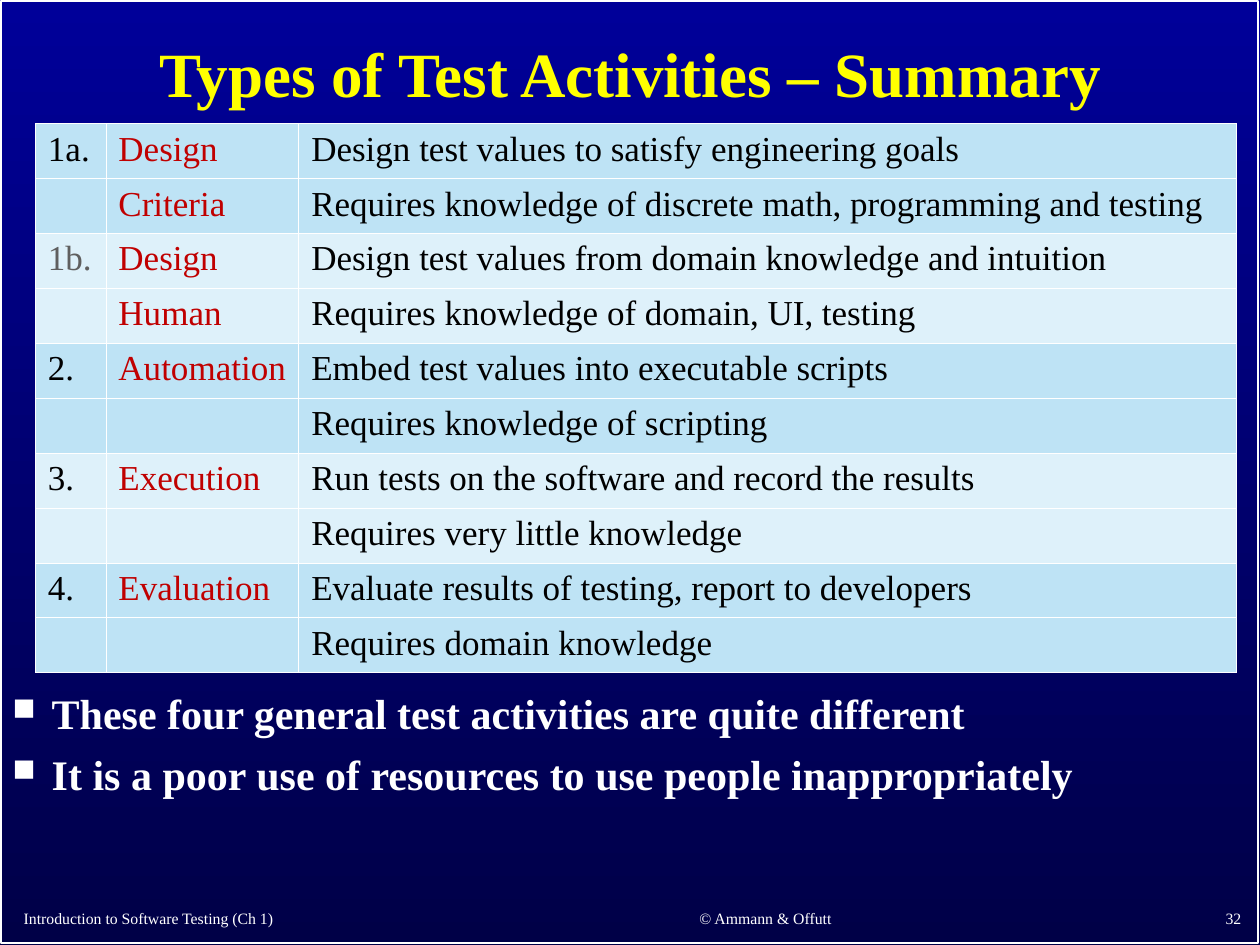
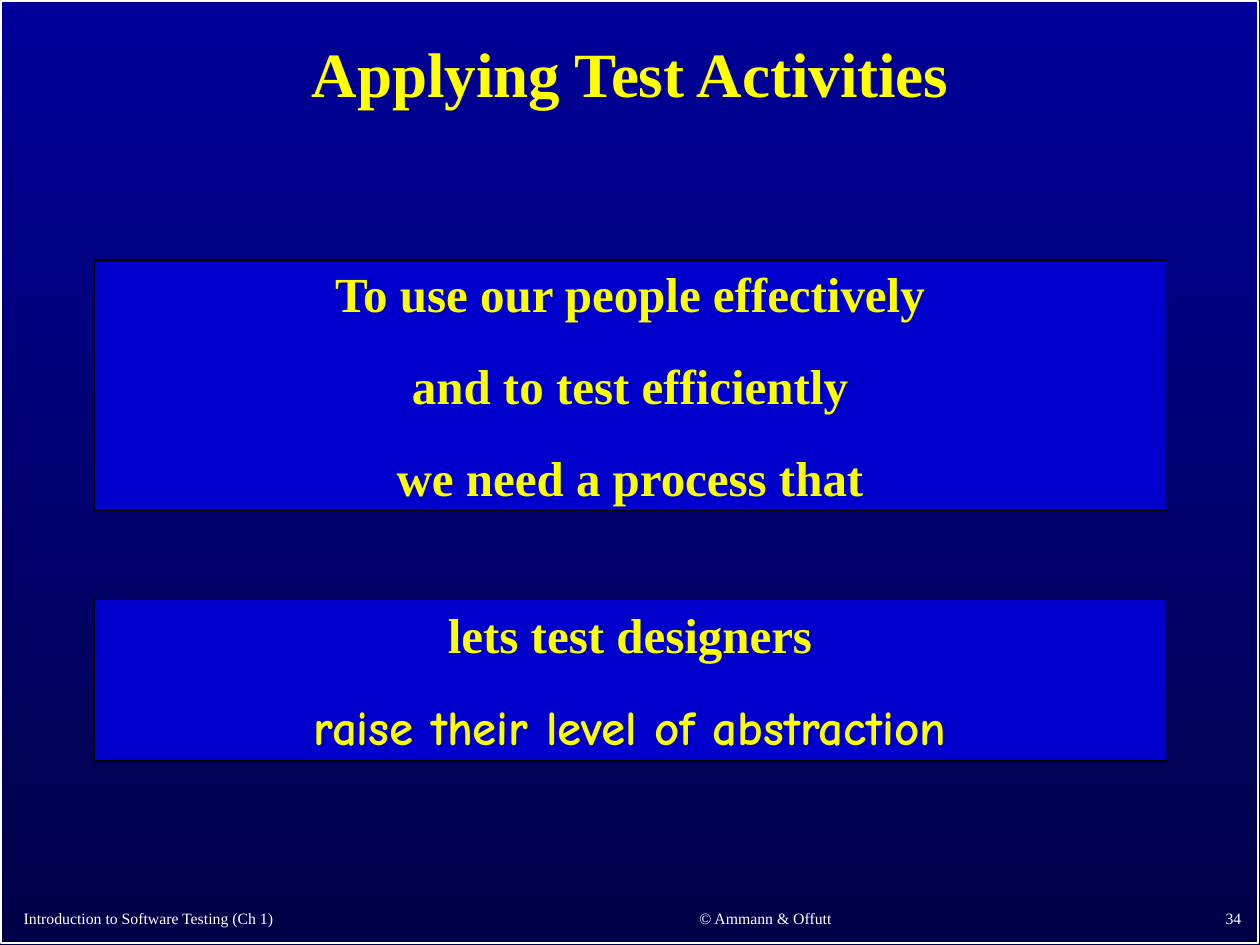
import pptx
import pptx.util
import pptx.dml.color
import pptx.enum.shapes
import pptx.enum.text
import pptx.oxml
import pptx.oxml.ns

Pt = pptx.util.Pt
RGBColor = pptx.dml.color.RGBColor
ALIGN = pptx.enum.text.PP_ALIGN
ANCHOR = pptx.enum.text.MSO_ANCHOR
RECTANGLE = pptx.enum.shapes.MSO_SHAPE.RECTANGLE

SERIF = "Times New Roman"
CASUAL = "Comic Neue"

SKY_TOP = RGBColor(0x00, 0x00, 0x99)
SKY_BOTTOM = RGBColor(0x00, 0x00, 0x47)
WHITE = RGBColor(0xFF, 0xFF, 0xFF)
BLACK = RGBColor(0x00, 0x00, 0x00)
GRAY = RGBColor(0x5F, 0x5F, 0x5F)
TITLE_YELLOW = RGBColor(0xFF, 0xFF, 0x00)
PANEL_YELLOW = RGBColor(0xFA, 0xFD, 0x00)
PANEL_BLUE = RGBColor(0x00, 0x00, 0xCC)
ACTIVITY_RED = RGBColor(0xC0, 0x00, 0x00)
BAND_DARK = RGBColor(0xBE, 0xE3, 0xF5)
BAND_LIGHT = RGBColor(0xDE, 0xF1, 0xFA)

# Boxes are (left, top, width, height) in points.
SLIDE_SIZE = (720, 540)
FRAME_BOX = (0.7, 0.7, 718, 538)
TITLE_BOX = (7.2, 8, 706, 72)
TABLE_BOX = (20.2, 70.6, 686.2, 314)
BULLETS_BOX = (0, 392.4, 720, 93.6)
NEED_BOX = (54, 148.6, 612, 143.2)
RESULT_BOX = (54, 342.6, 612, 92.2)
FOOTER_TOP, FOOTER_HEIGHT = 513, 20.5

COLUMN_WIDTHS = (40.3, 110.2, 535.7)
ACTIVITIES = [
    ("1a.", ("Design", "Criteria"),
     ("Design test values to satisfy engineering goals",
      "Requires knowledge of discrete math, programming and testing")),
    ("1b.", ("Design", "Human"),
     ("Design test values from domain knowledge and intuition",
      "Requires knowledge of domain, UI, testing")),
    ("2.", ("Automation", ""),
     ("Embed test values into executable scripts",
      "Requires knowledge of scripting")),
    ("3.", ("Execution", ""),
     ("Run tests on the software and record the results",
      "Requires very little knowledge")),
    ("4.", ("Evaluation", ""),
     ("Evaluate results of testing, report to developers",
      "Requires domain knowledge")),
]


def in_points(box):
    return [Pt(length) for length in box]


def add_run(paragraph, text, size, color, bold=False, font=SERIF):
    run = paragraph.add_run()
    run.text = text
    run.font.name = font
    run.font.size = Pt(size)
    run.font.bold = bold
    run.font.color.rgb = color


def next_paragraph(frame, index, gap):
    """Return the paragraph at index, with gap before all but the first."""
    if index == 0:
        return frame.paragraphs[0]
    paragraph = frame.add_paragraph()
    paragraph.space_before = Pt(gap)
    return paragraph


def add_text_frame(slide, box, anchor):
    frame = slide.shapes.add_textbox(*in_points(box)).text_frame
    frame.word_wrap = True
    frame.vertical_anchor = anchor
    return frame


def add_rectangle(slide, box, line_color):
    rectangle = slide.shapes.add_shape(RECTANGLE, *in_points(box))
    rectangle.shadow.inherit = False
    rectangle.line.color.rgb = line_color
    rectangle.line.width = Pt(1)
    return rectangle


def add_background(slide):
    fill = slide.background.fill
    fill.gradient()
    fill.gradient_angle = 270
    stops = zip(fill.gradient_stops, (0, 1), (SKY_TOP, SKY_BOTTOM))
    for stop, position, color in stops:
        stop.position = position
        stop.color.rgb = color
    add_rectangle(slide, FRAME_BOX, WHITE).fill.background()


def add_title(slide, box, title):
    paragraph = add_text_frame(slide, box, ANCHOR.MIDDLE).paragraphs[0]
    paragraph.alignment = ALIGN.CENTER
    paragraph.line_spacing = 0.9
    add_run(paragraph, title, 36, TITLE_YELLOW, bold=True)


def add_footer(slide, top, height, number):
    parts = (
        (6.5, 302.4, ALIGN.LEFT, "Introduction to Software Testing (Ch 1)"),
        (323.3, 228.2, ALIGN.CENTER, "© Ammann & Offutt"),
        (566.6, 149.8, ALIGN.RIGHT, str(number)),
    )
    for left, width, alignment, text in parts:
        frame = add_text_frame(slide, (left, top, width, height), ANCHOR.BOTTOM)
        frame.paragraphs[0].alignment = alignment
        add_run(frame.paragraphs[0], text, 9, WHITE)


def start_slide(deck, title, number):
    slide = deck.slides.add_slide(deck.slide_layouts[6])
    add_background(slide)
    add_title(slide, TITLE_BOX, title)
    add_footer(slide, FOOTER_TOP, FOOTER_HEIGHT, number)
    return slide


def add_borders(cell):
    properties = cell._tc.get_or_add_tcPr()
    for side in ("lnL", "lnR", "lnT", "lnB"):
        properties.append(pptx.oxml.parse_xml(
            f'<a:{side} {pptx.oxml.ns.nsdecls("a")} w="{Pt(0.45)}"><a:solidFill>'
            f'<a:srgbClr val="{WHITE}"/></a:solidFill></a:{side}>'))


def fill_cell(cell, text, color, band):
    add_borders(cell)
    cell.fill.solid()
    cell.fill.fore_color.rgb = band
    if text:
        add_run(cell.text_frame.paragraphs[0], text, 20, color)


def add_activity_table(slide, box):
    row_count = 2 * len(ACTIVITIES)
    table = slide.shapes.add_table(
        row_count, len(COLUMN_WIDTHS), *in_points(box)).table
    table.first_row = table.horz_banding = False
    for column, width in zip(table.columns, COLUMN_WIDTHS):
        column.width = Pt(width)
    for row in table.rows:
        row.height = Pt(box[3] / row_count)

    for index, (label, names, details) in enumerate(ACTIVITIES):
        band = BAND_LIGHT if index % 2 else BAND_DARK
        label_color = GRAY if label == "1b." else BLACK
        colors = (label_color, ACTIVITY_RED, BLACK)
        for offset, texts in enumerate(zip((label, ""), names, details)):
            for column, (text, color) in enumerate(zip(texts, colors)):
                fill_cell(table.cell(2 * index + offset, column),
                          text, color, band)


def add_square_bullet(paragraph):
    properties = paragraph._p.get_or_add_pPr()
    properties.set("marL", str(Pt(22.5)))
    properties.set("indent", str(-Pt(22.5)))
    for tag, content in (
            ("buClr", f'><a:srgbClr val="{WHITE}"/></a:buClr>'),
            ("buSzPct", ' val="75000"/>'),
            ("buChar", ' char="■"/>')):
        properties.append(pptx.oxml.parse_xml(
            f'<a:{tag} {pptx.oxml.ns.nsdecls("a")}{content}'))


def add_bullets(slide, box, statements):
    frame = add_text_frame(slide, box, ANCHOR.TOP)
    for index, statement in enumerate(statements):
        paragraph = next_paragraph(frame, index, gap=9)
        add_square_bullet(paragraph)
        paragraph.line_spacing = 0.9
        add_run(paragraph, statement, 24, WHITE, bold=True)


def add_panel(slide, box, lines):
    """Add a blue panel of centred lines, each given as (text, font)."""
    panel = add_rectangle(slide, box, BLACK)
    panel.fill.solid()
    panel.fill.fore_color.rgb = PANEL_BLUE
    frame = panel.text_frame
    frame.word_wrap = True
    frame.vertical_anchor = ANCHOR.MIDDLE
    for index, (text, font) in enumerate(lines):
        paragraph = next_paragraph(frame, index, gap=19)
        paragraph.alignment = ALIGN.CENTER
        add_run(paragraph, text, 28, PANEL_YELLOW, bold=True, font=font)


def build_summary(deck):
    slide = start_slide(deck, "Types of Test Activities – Summary", 32)
    add_bullets(slide, BULLETS_BOX, (
        "These four general test activities are quite different",
        "It is a poor use of resources to use people inappropriately",
    ))
    add_activity_table(slide, TABLE_BOX)


def build_applying(deck):
    slide = start_slide(deck, "Applying Test Activities", 34)
    add_panel(slide, NEED_BOX, (
        ("To use our people effectively", SERIF),
        ("and to test efficiently", SERIF),
        ("we need a process that", SERIF),
    ))
    add_panel(slide, RESULT_BOX, (
        ("lets test designers", SERIF),
        ("raise their level of abstraction", CASUAL),
    ))


def main():
    deck = pptx.Presentation()
    deck.slide_width, deck.slide_height = in_points(SLIDE_SIZE)
    build_summary(deck)
    build_applying(deck)
    deck.save("out.pptx")


if __name__ == "__main__":
    main()
